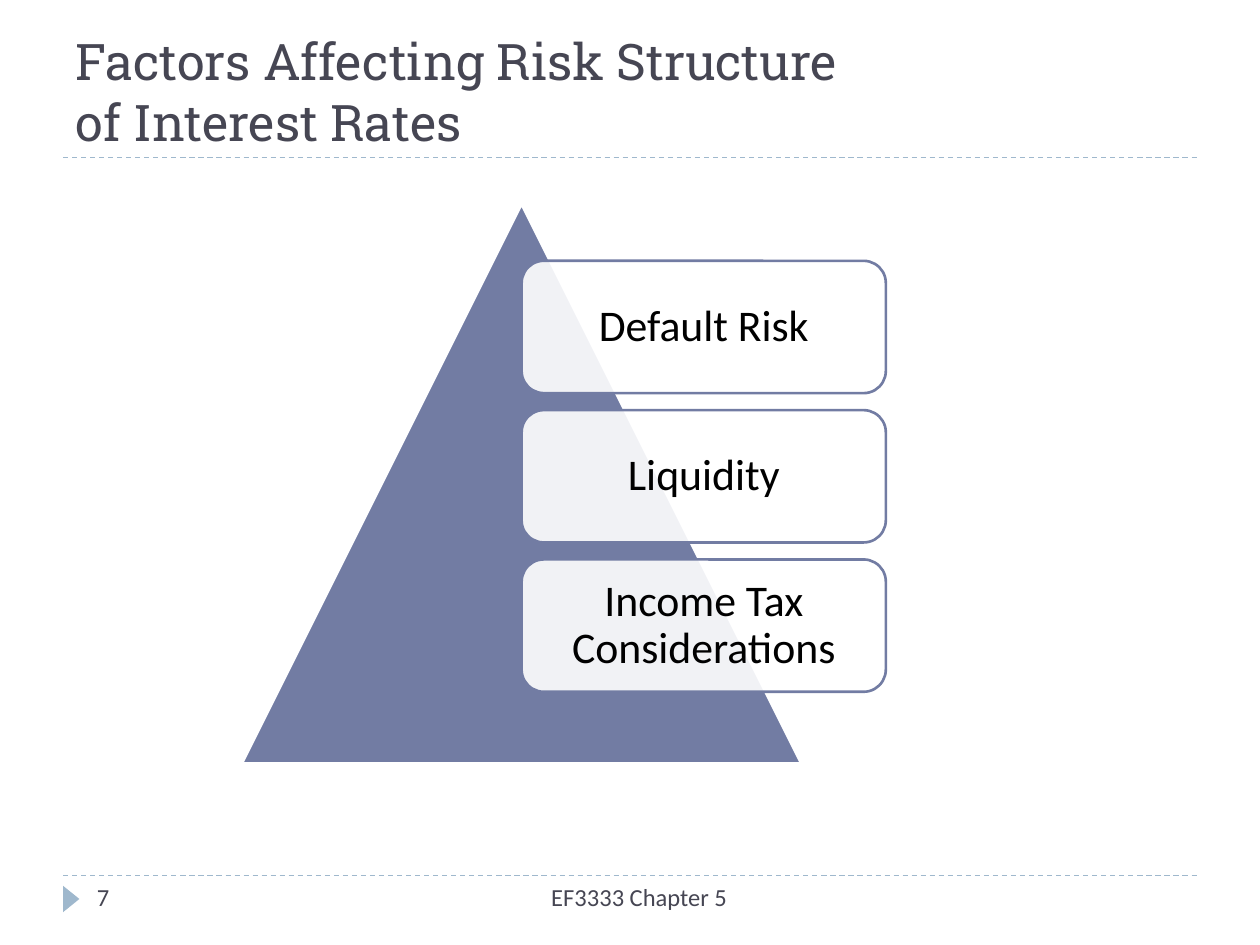
from dataclasses import dataclass

from lxml.etree import SubElement
from pptx import Presentation
from pptx.dml.color import RGBColor
from pptx.enum.dml import MSO_LINE
from pptx.enum.shapes import MSO_CONNECTOR, MSO_SHAPE
from pptx.enum.text import MSO_ANCHOR, PP_ALIGN
from pptx.oxml.ns import qn
from pptx.util import Inches, Pt

COLORS = {
    "ink": "464653",
    "black": "000000",
    "white": "FFFFFF",
    "accent": "727CA3",
    "rule": "9FB8CD",
}
BODY_FONT = "Calibri"
TITLE_FONT = "Roboto Slab"
FACTORS = ["Default Risk", "Liquidity", "Income Tax Considerations"]
FACTOR_TOP, FACTOR_PITCH = 2.07, 1.185


@dataclass
class Box:
    left: float
    top: float
    width: float
    height: float

    def emu(self) -> tuple:
        return tuple(Inches(v) for v in (self.left, self.top, self.width, self.height))


@dataclass
class FooterItem:
    text: str
    box: Box
    align: PP_ALIGN


FOOTER = [
    FooterItem("EF3333 Chapter 5", Box(3.17, 6.95, 2.7, 0.4), PP_ALIGN.RIGHT),
    FooterItem("7", Box(0.67, 6.95, 2.17, 0.4), PP_ALIGN.LEFT),
]


def rgb(name: str) -> RGBColor:
    return RGBColor.from_string(COLORS[name])


def add_run(p, text: str, size: float, color: str, font: str = BODY_FONT) -> None:
    r = p.add_run()
    r.text = text
    r.font.size = Pt(size)
    r.font.name = font
    r.font.color.rgb = rgb(color)


def add_rule(s, y: float) -> None:
    """Draw a dashed line across the slide."""
    line = s.shapes.add_connector(
        MSO_CONNECTOR.STRAIGHT, Inches(0.5), Inches(y), Inches(9.5), Inches(y))
    line.line.color.rgb = rgb("rule")
    line.line.width = Pt(0.75)
    line.line.dash_style = MSO_LINE.DASH
    SubElement(line._element.spPr, qn("a:effectLst"))


def add_filled(s, kind: MSO_SHAPE, box: Box, fill: str, line: str | None = None):
    sp = s.shapes.add_shape(kind, *box.emu())
    sp.shadow.inherit = False
    sp.fill.solid()
    sp.fill.fore_color.rgb = rgb(fill)
    if line:
        sp.line.color.rgb = rgb(line)
        sp.line.width = Pt(1.5)
    else:
        sp.line.fill.background()
    return sp


def add_factor(s, text: str, top: float) -> None:
    """Draw a nearly opaque rounded card with centred text."""
    sp = add_filled(s, MSO_SHAPE.ROUNDED_RECTANGLE, Box(4.14, top, 2.89, 1.05),
                    "white", "accent")
    color = sp._element.spPr.find(qn("a:solidFill")).find(qn("a:srgbClr"))
    SubElement(color, qn("a:alpha"), val="90000")
    tf = sp.text_frame
    tf.word_wrap = True
    tf.vertical_anchor = MSO_ANCHOR.MIDDLE
    tf.margin_left = tf.margin_right = tf.margin_top = tf.margin_bottom = Inches(0.1)
    p = tf.paragraphs[0]
    p.alignment = PP_ALIGN.CENTER
    p.line_spacing = 0.9
    add_run(p, text, 25, "black")


def add_footer(s, item: FooterItem) -> None:
    tf = s.shapes.add_textbox(*item.box.emu()).text_frame
    tf.word_wrap = True
    p = tf.paragraphs[0]
    p.alignment = item.align
    add_run(p, item.text, 14, "ink")


def set_title(s, lines: list[str]) -> None:
    title = s.shapes.title
    title.left, title.top, title.width, title.height = Box(0.5, 0.17, 9, 1.08).emu()
    tf = title.text_frame
    tf.word_wrap = True
    tf.vertical_anchor = MSO_ANCHOR.BOTTOM
    p = tf.paragraphs[0]
    p.alignment = PP_ALIGN.LEFT
    for i, line in enumerate(lines):
        if i:
            p.add_line_break()
        add_run(p, line, 28.8, "ink", TITLE_FONT)


def main() -> None:
    prs = Presentation()
    prs.slide_width, prs.slide_height = Inches(10), Inches(7.5)
    s = prs.slides.add_slide(prs.slide_layouts[5])

    for y in (6.95, 1.25):
        add_rule(s, y)
    marker = add_filled(s, MSO_SHAPE.ISOSCELES_TRIANGLE,
                        Box(0.46, 7.07, 0.21, 0.13), "rule")
    marker.rotation = 90
    set_title(s, ["Factors Affecting Risk Structure", "of Interest Rates"])

    add_filled(s, MSO_SHAPE.ISOSCELES_TRIANGLE, Box(1.92, 1.62, 4.44, 4.44),
               "accent", "white")
    for i, factor in enumerate(FACTORS):
        add_factor(s, factor, FACTOR_TOP + i * FACTOR_PITCH)
    for item in FOOTER:
        add_footer(s, item)

    prs.save("out.pptx")


if __name__ == "__main__":
    main()
